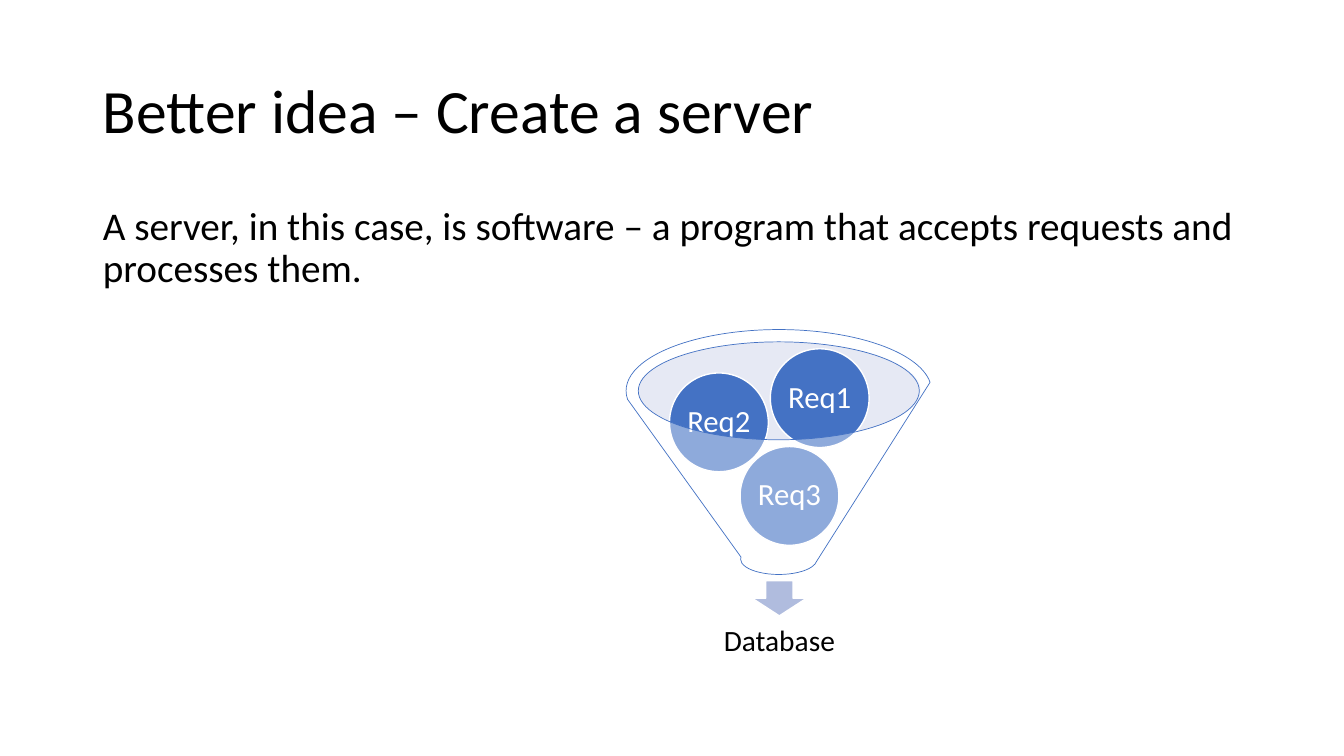
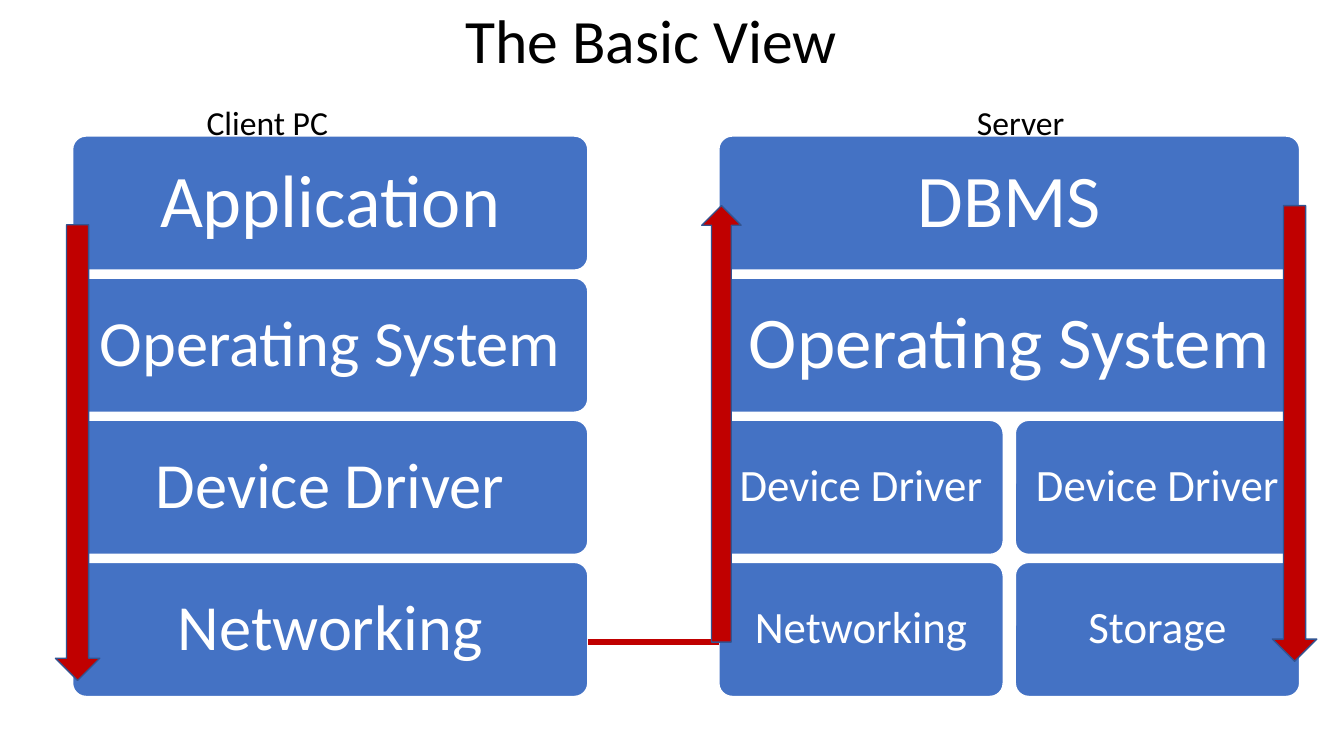
from pptx import Presentation
from pptx.dml.color import RGBColor
from pptx.enum.shapes import MSO_CONNECTOR, MSO_SHAPE
from pptx.enum.text import MSO_ANCHOR, PP_ALIGN
from pptx.oxml.ns import qn
from pptx.util import Pt
from lxml.etree import SubElement

PX = 9144
BLACK = RGBColor(0x00, 0x00, 0x00)
WHITE = RGBColor(0xFF, 0xFF, 0xFF)
BLUE = RGBColor(0x44, 0x72, 0xC4)
PALE_BLUE = RGBColor(0xC1, 0xC9, 0xE4)
ARROW_BLUE = RGBColor(0xB0, 0xBC, 0xDE)
NAVY = RGBColor(0x32, 0x54, 0x91)
RED = RGBColor(0xC0, 0x00, 0x00)
TITLE_FORMAT = {"size": 44, "color": BLACK}
BLOCK_FORMAT = {"color": WHITE, "align": PP_ALIGN.CENTER, "wrap": False}


def write(shape, box, text, size, color, align=PP_ALIGN.LEFT,
          anchor=MSO_ANCHOR.MIDDLE, margin=None, wrap=True, spacing=0.9, before=0):
    if box:
        shape.left, shape.top, shape.width, shape.height = [v * PX for v in box]
    frame = shape.text_frame
    frame.text = text
    frame.word_wrap = wrap
    frame.vertical_anchor = anchor
    if margin is not None:
        for side in ("left", "top", "right", "bottom"):
            setattr(frame, f"margin_{side}", margin * PX)
    paragraph = frame.paragraphs[0]
    paragraph_format = {"alignment": align, "line_spacing": spacing, "space_before": Pt(before)}
    for name, value in paragraph_format.items():
        setattr(paragraph, name, value)
    font = paragraph.runs[0].font
    for name, value in {"name": "Calibri", "size": Pt(size)}.items():
        setattr(font, name, value)
    font.color.rgb = color


def add_figure(slide, kind, box, fill, line=None, line_width=1.0, opacity=None):
    shape = slide.shapes.add_shape(kind, *[v * PX for v in box])
    shape.shadow.inherit = False
    shape.fill.solid()
    shape.fill.fore_color.rgb = fill
    if opacity is not None:
        color = shape._element.spPr.find(qn("a:solidFill")).find(qn("a:srgbClr"))
        SubElement(color, qn("a:alpha")).set("val", str(opacity * 1000))
    if line is None:
        shape.line.fill.background()
    else:
        shape.line.color.rgb = line
        shape.line.width = Pt(line_width)
    return shape


presentation = Presentation()
presentation.slide_width = 1333 * PX
presentation.slide_height = 750 * PX

slide = presentation.slides.add_slide(presentation.slide_layouts[1])
write(slide.shapes.title, (92, 40, 1150, 145), "Better idea – Create a server", **TITLE_FORMAT)
body = slide.placeholders[1]
write(body, (92, 200, 1150, 476),
      "A server, in this case, is software – a program that accepts requests and processes them.",
      28, BLACK, anchor=MSO_ANCHOR.TOP, before=10)
properties = body.text_frame.paragraphs[0]._p.get_or_add_pPr()
properties.set("marL", "0")
properties.set("indent", "0")
SubElement(properties, qn("a:buNone"))

add_figure(slide, MSO_SHAPE.OVAL, (633, 339, 280, 97), PALE_BLUE, opacity=40)
add_figure(slide, MSO_SHAPE.DOWN_ARROW, (746, 576, 54, 35), ARROW_BLUE, WHITE)
write(slide.shapes.add_textbox(0, 0, 0, 0), (643, 604, 260, 65), "Database", 21, BLACK,
      align=PP_ALIGN.CENTER, margin=16)
for text, left, top in [("Req3", 734, 443), ("Req2", 664, 370), ("Req1", 764, 346)]:
    request = add_figure(slide, MSO_SHAPE.OVAL, (left, top, 98, 98), BLUE, WHITE)
    write(request, None, text, 22, margin=3, **BLOCK_FORMAT)
add_figure(slide, MSO_SHAPE.FUNNEL, (621, 327, 303, 243), WHITE, BLUE, 0.5, opacity=40)

slide = presentation.slides.add_slide(presentation.slide_layouts[5])
write(slide.shapes.title, (71, 0, 1150, 86), "The Basic View", align=PP_ALIGN.CENTER, **TITLE_FORMAT)

ROW_TOP, ROW_PITCH = 135, 141
SERVER_LEFT, SERVER_PITCH = 713, 294
CLIENT_LEFT = 72
blocks = [
    ("DBMS", SERVER_LEFT, 0, 576, 53),
    ("Operating System", SERVER_LEFT, 1, 576, 52),
    ("Device Driver", SERVER_LEFT, 2, 282, 32),
    ("Networking", SERVER_LEFT, 3, 282, 32),
    ("Device Driver", SERVER_LEFT + SERVER_PITCH, 2, 282, 32),
    ("Storage", SERVER_LEFT + SERVER_PITCH, 3, 282, 32),
    ("Application", CLIENT_LEFT, 0, 511, 53),
    ("Operating System", CLIENT_LEFT, 1, 511, 46),
    ("Device Driver", CLIENT_LEFT, 2, 511, 46),
    ("Networking", CLIENT_LEFT, 3, 511, 46),
]
for text, left, row, width, size in blocks:
    box = (left, ROW_TOP + row * ROW_PITCH, width, 133)
    block = add_figure(slide, MSO_SHAPE.ROUNDED_RECTANGLE, box, BLUE, WHITE)
    block.adjustments[0] = 0.1
    write(block, None, text, size, margin=13, **BLOCK_FORMAT)

for text, left, width in [("Client PC", 195, 142), ("Server", 959, 108)]:
    write(slide.shapes.add_textbox(0, 0, 0, 0), (left, 96, width, 50), text, 24, BLACK,
          anchor=MSO_ANCHOR.TOP, wrap=False, spacing=1.0)

network = slide.shapes.add_connector(
    MSO_CONNECTOR.STRAIGHT, 583 * PX, 637 * PX, SERVER_LEFT * PX, 637 * PX)
network.line.color.rgb = RED
network.line.width = Pt(4.5)
SubElement(network._element.spPr, qn("a:effectLst"))

for kind, box in [
    (MSO_SHAPE.DOWN_ARROW, (55, 223, 44, 452)),
    (MSO_SHAPE.UP_ARROW, (696, 204, 39, 433)),
    (MSO_SHAPE.DOWN_ARROW, (1262, 204, 44, 452)),
]:
    add_figure(slide, kind, box, RED, NAVY)

presentation.save("out.pptx")
